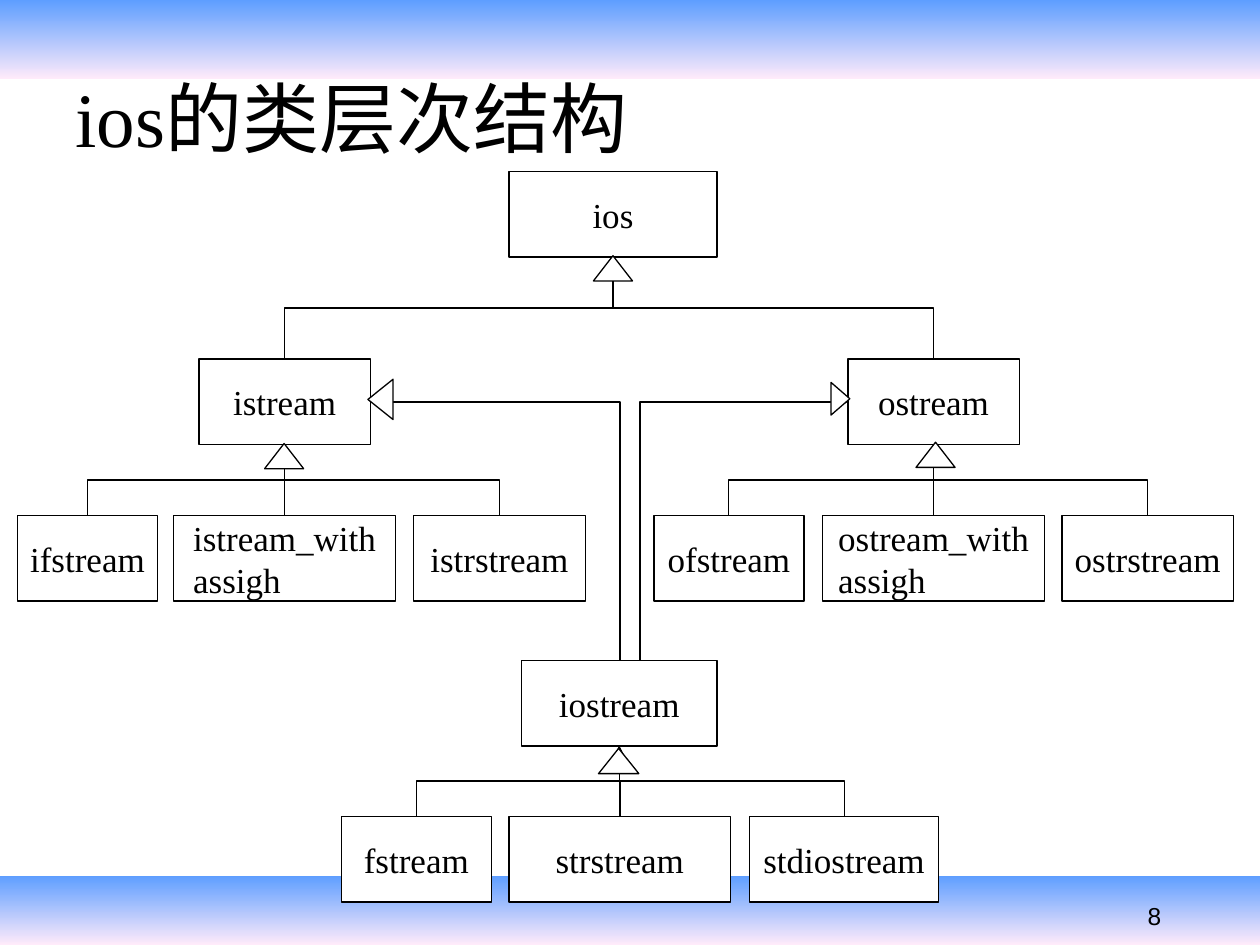
from lxml import etree
from pptx import Presentation
from pptx.dml.color import RGBColor
from pptx.enum import shapes, text
from pptx.oxml.ns import qn
from pptx.util import Inches, Pt

BLACK, WHITE = "000000", "FFFFFF"
SERIF = "Times New Roman"
BOX_HEIGHT = 0.68


def color(code):
    return RGBColor.from_string(code)


def add_elbow(x1, y1, x2, y2, preset="bentConnector3"):
    """Draw an elbow arrow that leaves its lower end (x1, y1) vertically."""
    # The unrotated frame has width and height swapped around the same centre.
    side = 1 if x1 >= x2 else -1
    mid_x, mid_y = (x1 + x2) / 2, (y1 + y2) / 2
    half_width, half_height = abs(y1 - y2) / 2, abs(x1 - x2) / 2
    elbow = page.shapes.add_connector(
        shapes.MSO_CONNECTOR.ELBOW,
        Inches(mid_x - side * half_width), Inches(mid_y + half_height),
        Inches(mid_x + side * half_width), Inches(mid_y - half_height))
    elbow.line.color.rgb = color(BLACK)
    elbow.line.width = Pt(0.75)
    properties = elbow._element.spPr
    properties.find(qn("a:xfrm")).set("rot", str((270 if side > 0 else 90) * 60000))
    properties.find(qn("a:prstGeom")).set("prst", preset)
    etree.SubElement(properties.find(qn("a:ln")), qn("a:tailEnd"), type="triangle")
    etree.SubElement(properties, qn("a:effectLst"))


deck = Presentation()
deck.slide_width, deck.slide_height = Inches(10), Inches(7.5)
page = deck.slides.add_slide(deck.slide_layouts[6])

# Gradient bands at the top and bottom
for top, height in [(0, 0.63), (6.95, 0.55)]:
    band = page.shapes.add_shape(shapes.MSO_SHAPE.RECTANGLE, 0, Inches(top),
                                 Inches(10), Inches(height))
    band.shadow.inherit = False
    band.line.fill.background()
    band.fill.gradient()
    band.fill.gradient_angle = 270
    for stop, code in zip(band.fill.gradient_stops, ["5E9EFF", "FFEBFA"]):
        stop.color.rgb = color(code)

# Slide number and title
for words, left, top, width, height, size, font, anchor in [
    ("8", 9.01, 7.1, 0.9, 0.34, 14, "Arial", text.MSO_ANCHOR.TOP),
    ("ios的类层次结构", 0.5, 0.3, 9, 1.25, 44, SERIF, text.MSO_ANCHOR.MIDDLE),
]:
    box = page.shapes.add_textbox(Inches(left), Inches(top), Inches(width), Inches(height))
    frame = box.text_frame
    frame.word_wrap = True
    frame.vertical_anchor = anchor
    frame.text = words
    span = frame.paragraphs[0].runs[0]
    span.font.size, span.font.name = Pt(size), font
    span.font.color.rgb = color(BLACK)

# Class boxes: name -> left, top, width
classes = {
    "ios": (4.04, 1.36, 1.65),
    "istream": (1.58, 2.85, 1.36),
    "ostream": (6.73, 2.85, 1.36),
    "iostream": (4.14, 5.24, 1.55),
    "ifstream": (0.14, 4.09, 1.11),
    "istream_with assigh": (1.38, 4.09, 1.76),
    "istrstream": (3.28, 4.09, 1.37),
    "ofstream": (5.19, 4.09, 1.19),
    "ostream_with assigh": (6.53, 4.09, 1.76),
    "ostrstream": (8.43, 4.09, 1.36),
    "fstream": (2.71, 6.48, 1.19),
    "strstream": (4.04, 6.48, 1.76),
    "stdiostream": (5.95, 6.48, 1.5),
}
filled = {"fstream", "strstream", "stdiostream"}
for name, (left, top, width) in classes.items():
    box = page.shapes.add_shape(shapes.MSO_SHAPE.RECTANGLE, Inches(left), Inches(top),
                                Inches(width), Inches(BOX_HEIGHT))
    box.shadow.inherit = False
    if name in filled:
        box.fill.solid()
        box.fill.fore_color.rgb = color(WHITE)
    else:
        box.fill.background()
    box.line.color.rgb = color(BLACK)
    box.line.width = Pt(0.75)
    frame = box.text_frame
    frame.word_wrap = True
    frame.vertical_anchor = text.MSO_ANCHOR.MIDDLE
    # Centre the text block as a whole while its lines stay left-aligned.
    frame._txBody.bodyPr.set("anchorCtr", "1")
    frame.text = name
    para = frame.paragraphs[0]
    para.alignment = text.PP_ALIGN.LEFT
    span = para.runs[0]
    span.font.size, span.font.name = Pt(20), SERIF
    span.font.color.rgb = color(BLACK)

# Inheritance from child top to parent bottom
children = {
    "ios": ["istream", "ostream"],
    "istream": ["ifstream", "istream_with assigh", "istrstream"],
    "ostream": ["ofstream", "ostream_with assigh", "ostrstream"],
    "iostream": ["fstream", "strstream", "stdiostream"],
}
for parent, names in children.items():
    left, top, width = classes[parent]
    for name in names:
        child_left, child_top, child_width = classes[name]
        add_elbow(child_left + child_width / 2, child_top,
                  left + width / 2, top + BOX_HEIGHT)

# iostream inherits from the facing sides of istream and ostream
add_elbow(4.92, 5.24, 2.94, 3.19, "bentConnector2")
add_elbow(5.08, 5.24, 6.73, 3.19, "bentConnector2")

# Hollow inheritance heads: left, top, width, height, rotation
for left, top, width, height, rotation in [
    (4.71, 2.03, 0.31, 0.2, 0),
    (2.1, 3.52, 0.31, 0.2, 0),
    (7.27, 3.51, 0.31, 0.2, 0),
    (4.75, 5.94, 0.32, 0.2, 0),
    (2.86, 3.07, 0.32, 0.2, 270),
    (6.54, 3.09, 0.26, 0.15, 90),
]:
    head = page.shapes.add_shape(shapes.MSO_SHAPE.ISOSCELES_TRIANGLE, Inches(left),
                                 Inches(top), Inches(width), Inches(height))
    head.shadow.inherit = False
    head.rotation = rotation
    head.fill.solid()
    head.fill.fore_color.rgb = color(WHITE)
    head.line.color.rgb = color(BLACK)
    head.line.width = Pt(0.75)

deck.save("out.pptx")
